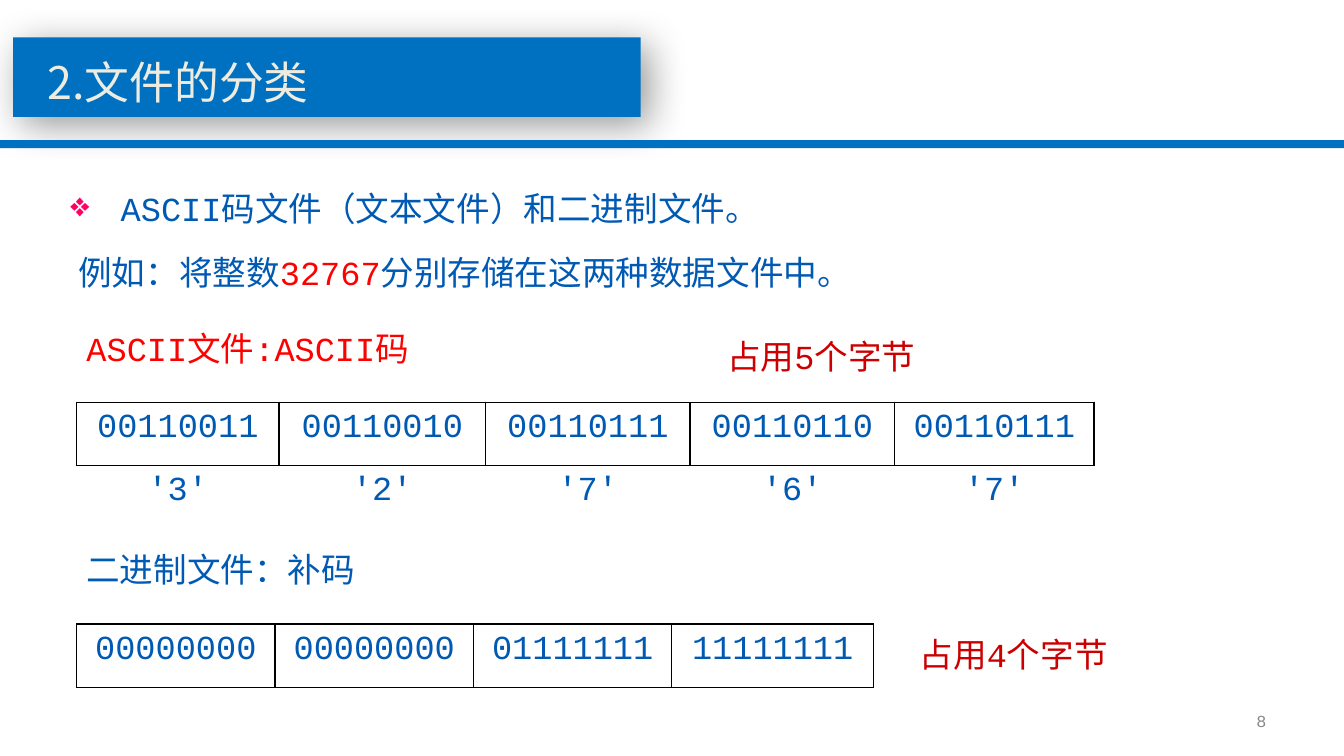
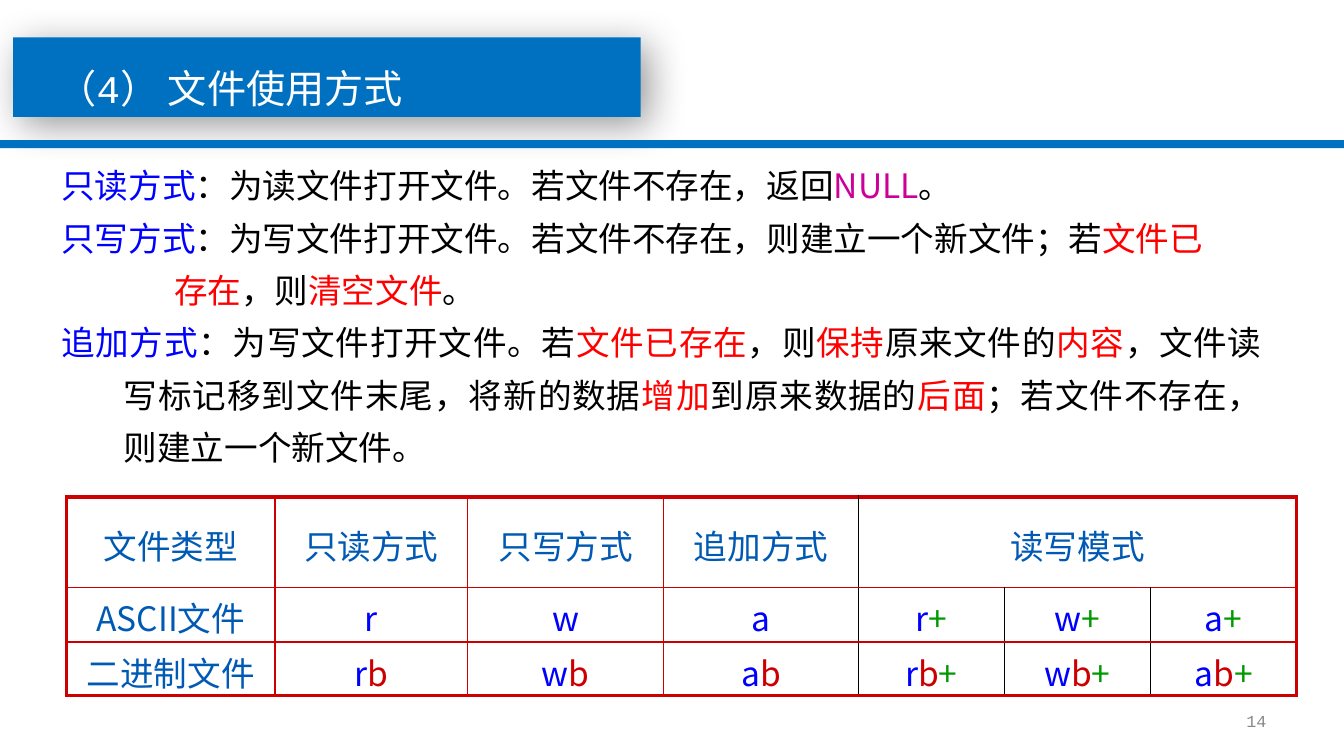
"""Build two lecture slides about file types and file opening modes."""
from dataclasses import dataclass
from typing import Any, NamedTuple, Optional

from lxml import etree
from pptx import Presentation, oxml, util as u
from pptx.dml import color
from pptx.enum import shapes, text
from pptx.oxml import ns

SANS, MONO = "Noto Sans CJK SC", "Courier New"
BAND, NAVY, BLUE, RED, DARK_RED = "0070C0", "005AB4", "0000FF", "FF0000", "CC0000"
GREEN, MAGENTA, BLACK, GREY, CREAM, WHITE = "009900", "CC0099", "000000", "898989", "EEECE1", "FFFFFF"
LEFT, CENTER, RIGHT, JUSTIFY = (
    text.PP_ALIGN.LEFT, text.PP_ALIGN.CENTER, text.PP_ALIGN.RIGHT, text.PP_ALIGN.JUSTIFY)
MIDDLE = text.MSO_ANCHOR.MIDDLE


class Run(NamedTuple):
    """A piece of text in one colour and font."""
    words: str
    hue: str = NAVY
    face: str = MONO
    size: float = 24


class Box(NamedTuple):
    """Left, top, width and height in inches."""
    left: float
    top: float
    width: float
    height: float


class Edge(NamedTuple):
    """A cell border; zero width draws none."""
    hue: str = BLACK
    width: float = 0


@dataclass
class Para:
    """A paragraph with its layout in inches."""
    runs: list[Run]
    align: Any = LEFT
    spacing: float = 1
    margin: float = 0
    indent: float = 0
    bullet: Optional[str] = None


@dataclass
class Label:
    """A text box holding one paragraph."""
    box: Box
    para: Para


def rgb(hue: str) -> color.RGBColor:
    """Turn a hex string into a colour."""
    return color.RGBColor.from_string(hue)


def apply(target: Any, values: dict[str, Any]) -> None:
    """Set each named value on the target."""
    for name, value in values.items():
        setattr(target, name, value)


def place(shape: Any, box: Box) -> None:
    """Move and size a shape."""
    apply(shape, {name: u.Inches(value) for name, value in zip(box._fields, box)})


def fill_frame(frame: Any, paras: list[Para]) -> None:
    """Write formatted paragraphs into a text frame."""
    for index, para in enumerate(paras):
        line = frame.add_paragraph() if index else frame.paragraphs[0]
        props = line._p.get_or_add_pPr()
        props.set("marL", str(u.Inches(para.margin)))
        props.set("indent", str(u.Inches(para.indent)))
        if para.bullet:
            tint = etree.SubElement(props, ns.qn("a:buClr"))
            etree.SubElement(tint, ns.qn("a:srgbClr"), val="FF0066")
            etree.SubElement(props, ns.qn("a:buChar"), char=para.bullet)
        apply(line, {"alignment": para.align, "line_spacing": para.spacing,
                     "space_before": u.Pt(0)})
        for piece in para.runs:
            run = line.add_run()
            run.text = piece.words
            apply(run.font, {"size": u.Pt(piece.size), "name": piece.face, "bold": False})
            run.font.color.rgb = rgb(piece.hue)
            etree.SubElement(run._r.get_or_add_rPr(), ns.qn("a:ea"), typeface=SANS)


def add_text(slide: Any, box: Box, paras: list[Para], anchor: Any = text.MSO_ANCHOR.TOP) -> None:
    """Add a wrapping text box."""
    frame = slide.shapes.add_textbox(*map(u.Inches, box)).text_frame
    apply(frame, {"word_wrap": True, "vertical_anchor": anchor})
    fill_frame(frame, paras)


def add_bands(slide: Any) -> None:
    """Put the title band and the rule into the layout of a slide."""
    backdrop = slide.slide_layout.shapes.element
    for order, box in enumerate((Box(0.13, 0.37, 6.23, 0.79), Box(0, 1.39, 13.34, 0.08))):
        band = slide.shapes.add_shape(shapes.MSO_SHAPE.RECTANGLE, *map(u.Inches, box))
        band.shadow.inherit = False
        band.fill.solid()
        band.fill.fore_color.rgb = rgb(BAND)
        band.line.fill.background()
        if order == 0:
            effects = band.element.spPr.find(ns.qn("a:effectLst"))
            effects.append(oxml.parse_xml(
                f'<a:outerShdw {ns.nsdecls("a")} blurRad="{u.Pt(28)}" dist="{u.Pt(8)}" '
                'dir="2700000" algn="tl" rotWithShape="0"><a:srgbClr val="000000">'
                '<a:alpha val="40000"/></a:srgbClr></a:outerShdw>'))
        backdrop.insert(2 + order, band.element)


def new_slide(deck: Any, box: Box, title: list[Run], number: str) -> Any:
    """Add a slide with its title and page number."""
    slide = deck.slides.add_slide(deck.slide_layouts[5])
    heading = slide.shapes.title
    place(heading, box)
    apply(heading.text_frame, {"word_wrap": True, "auto_size": text.MSO_AUTO_SIZE.NONE,
                               "vertical_anchor": text.MSO_ANCHOR.TOP})
    fill_frame(heading.text_frame, [Para(title, spacing=1.4)])
    add_text(slide, Box(9.56, 6.95, 3.11, 0.4),
             [Para([Run(number, GREY, MONO, 12)], RIGHT)], MIDDLE)
    return slide


def add_grid(slide: Any, left: float, top: float, widths: list[float], heights: list[float]) -> Any:
    """Add a table without banding."""
    grid = slide.shapes.add_table(
        len(heights), len(widths),
        *map(u.Inches, (left, top, sum(widths), sum(heights)))).table
    apply(grid, {"first_row": False, "horz_banding": False})
    for column, width in zip(grid.columns, widths):
        column.width = u.Inches(width)
    for row, height in zip(grid.rows, heights):
        row.height = u.Inches(height)
    return grid


def fill_cell(cell: Any, runs: list[Run], edges: dict[str, Edge], values: dict[str, Any]) -> None:
    """Write a centred cell and draw its borders."""
    apply(cell, values)
    fill_frame(cell.text_frame, [Para(runs, CENTER)])
    cell.fill.background()
    props = cell._tc.get_or_add_tcPr()
    for order, side in enumerate("LRTB"):
        edge = edges[side]
        paint = f'<a:solidFill><a:srgbClr val="{edge.hue}"/></a:solidFill>' if edge.width else "<a:noFill/>"
        props.insert(order, oxml.parse_xml(
            f'<a:ln{side} {ns.nsdecls("a")} w="{u.Pt(edge.width)}">{paint}</a:ln{side}>'))


def add_byte_grid(slide: Any, top: float, widths: list[float], heights: list[float],
                  rows: list[list[str]]) -> None:
    """Draw a row of bordered bytes, with unbordered captions below if given."""
    grid = add_grid(slide, 0.76, top, widths, heights)
    inset = {f"margin_{side}": u.Inches(gap) for side, gap in
             (("left", 0.13), ("right", 0.13), ("top", 0.07), ("bottom", 0.07))}
    for r, row in enumerate(rows):
        edges = {side: Edge(BLACK, 1 if r == 0 or side == "T" else 0) for side in "LRTB"}
        for c, words in enumerate(row):
            fill_cell(grid.cell(r, c), [Run(words)], edges, inset)


def add_mode_grid(slide: Any) -> None:
    """Draw the table of opening modes."""
    rows = [["文件类型", "只读方式", "只写方式", "追加方式", "读写模式"],
            ["ASCII文件", "r", "w", "a", "r+", "w+", "a+"],
            ["二进制文件", "rb", "wb", "ab", "rb+", "wb+", "ab+"]]
    widths = [2.07, 1.91, 1.95, 1.93] + [1.45] * 3
    grid = add_grid(slide, 0.66, 4.93, widths, [0.9, 0.54, 0.53])
    grid.cell(0, 4).merge(grid.cell(0, 6))
    outer, inner, dark = Edge(DARK_RED, 3), Edge(DARK_RED, 1), Edge(BLACK, 1)
    inset = {"vertical_anchor": MIDDLE, "margin_top": u.Inches(0.05), "margin_bottom": 0}
    suffix = {"b": DARK_RED, "+": GREEN}
    last_row, last_column = len(rows) - 1, len(widths) - 1
    for r, row in enumerate(rows):
        for c in range(len(widths)):
            words = row[c] if c < len(row) else ""
            heading = r == 0 or c == 0
            runs = [Run(words, NAVY, SANS)] if heading and words else [
                Run(letter, suffix.get(letter, BLUE), SANS) for letter in words]
            ends_right = c == last_column or (r == 0 and c == 4)
            edges = {"L": outer if c == 0 else dark if c > 3 else inner,
                     "R": outer if ends_right else dark if c > 2 else inner,
                     "T": outer if r == 0 else inner,
                     "B": outer if r == last_row else inner}
            fill_cell(grid.cell(r, c), runs, edges, inset)


def body(pieces: list[tuple[str, str]], margin: float = 0.73, indent: float = -0.62) -> Para:
    """Make a justified paragraph of coloured pieces."""
    return Para([Run(words, hue, SANS) for words, hue in pieces], JUSTIFY, 1.3, margin, indent)


def build_types(deck: Any) -> None:
    """Build the slide on file types."""
    slide = new_slide(deck, Box(0.37, 0.28, 11.22, 0.85),
                      [Run("2.文件的分类", CREAM, SANS, 32)], "8")
    add_bands(slide)
    labels = [
        Label(Box(0.6, 1.62, 12.55, 0.7), Para(
            [Run("ASCII码文件（文本文件）和二进制文件。")], spacing=1.5,
            margin=0.5, indent=-0.5, bullet="❖")),
        Label(Box(0.68, 2.49, 11.35, 0.58), Para(
            [Run("例如：将整数"), Run("32767", RED), Run("分别存储在这两种数据文件中。")],
            JUSTIFY, 0.9)),
        Label(Box(0.76, 3.2, 5.45, 0.5), Para([Run("ASCII文件:ASCII码", RED)])),
        Label(Box(0.76, 5.4, 4.84, 0.5), Para([Run("二进制文件：补码")])),
        Label(Box(7.12, 3.28, 3.41, 0.5), Para([Run("占用5个字节", DARK_RED)])),
        Label(Box(9.03, 6.24, 3.39, 0.5), Para([Run("占用4个字节", DARK_RED)])),
    ]
    for label in labels:
        add_text(slide, label.box, [label.para])
    digits = "32767"
    add_byte_grid(slide, 3.99, [2.01, 2.05, 2.03, 2.03, 1.98], [0.63, 0.67],
                  [[f"{ord(digit):08b}" for digit in digits], [f"'{digit}'" for digit in digits]])
    add_byte_grid(slide, 6.19, [1.97, 1.97, 1.97, 2], [0.63],
                  [[f"{byte:08b}" for byte in int(digits).to_bytes(4, "big")]])


def build_modes(deck: Any) -> None:
    """Build the slide on opening modes."""
    slide = new_slide(deck, Box(0.47, 0.4, 5.64, 0.76),
                      [Run("（4） ", WHITE, MONO, 28), Run("文件使用方式", WHITE, SANS, 28)], "14")
    add_text(slide, Box(0.4, 1.47, 12.22, 3.07), [
        body([("只读方式", BLUE), ("：为读文件打开文件。若文件不存在，返回", BLACK),
              ("NULL", MAGENTA), ("。", BLACK)]),
        body([("只写方式", BLUE),
              ("：为写文件打开文件。若文件不存在，则建立一个新文件；若", BLACK), ("文件已", RED)]),
        body([("存在", RED), ("，则", BLACK), ("清空文件", RED), ("。", BLACK)], 1.23, 0),
        body([("追加方式", BLUE), ("：为写文件打开文件。若", BLACK), ("文件已存在", RED),
              ("，则", BLACK), ("保持", RED), ("原来文件的", BLACK), ("内容", RED),
              ("，文件读写标记移到文件末尾，将新的数据", BLACK), ("增加", RED),
              ("到原来数据的", BLACK), ("后面", RED),
              ("；若文件不存在，则建立一个新文件。", BLACK)]),
    ])
    add_mode_grid(slide)


def main() -> None:
    """Build and save the deck."""
    deck = Presentation()
    apply(deck, {"slide_width": u.Inches(13.34), "slide_height": u.Inches(7.5)})
    build_types(deck)
    build_modes(deck)
    deck.save("out.pptx")


if __name__ == "__main__":
    main()
